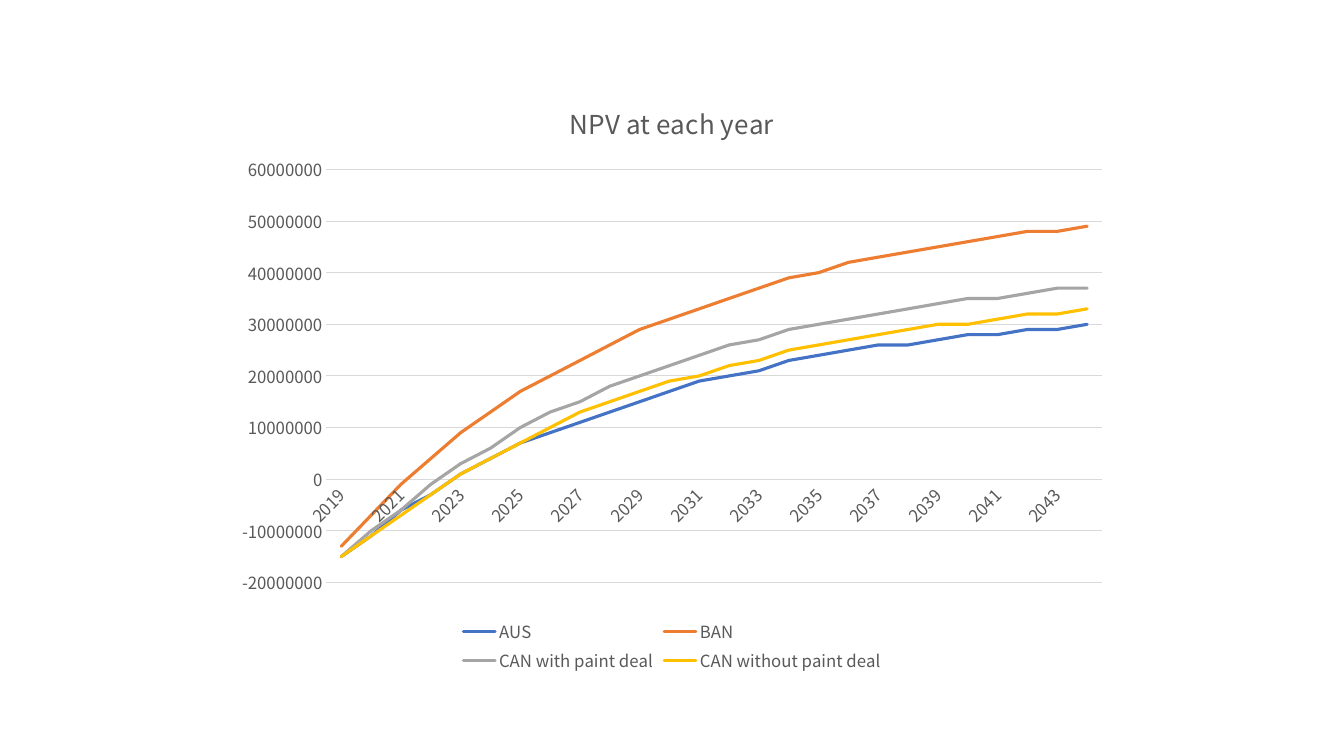
"""Build a slide with a line chart of NPV by year."""
from lxml.etree import SubElement
from pptx import Presentation
from pptx.chart.data import CategoryChartData
from pptx.dml.color import RGBColor
from pptx.enum.chart import XL_CHART_TYPE, XL_LEGEND_POSITION, XL_TICK_MARK
from pptx.oxml.ns import qn
from pptx.util import Cm, Pt

TITLE = "NPV at each year"
FONT = "Noto Sans CJK KR"
COLORS = {
    "base": "000000",
    "text": "595959",
    "grid": "D9D9D9",
    "AUS": "4472C4",
    "BAN": "ED7D31",
    "CAN with paint deal": "A5A5A5",
    "CAN without paint deal": "FFC000",
}
YEARS = [str(year) for year in range(2019, 2045)]
MILLION = 1_000_000
NPV = {
    "AUS": [
        -15, -11, -6, -3, 1, 4, 7, 9, 11, 13, 15, 17, 19,
        20, 21, 23, 24, 25, 26, 26, 27, 28, 28, 29, 29, 30],
    "BAN": [
        -13, -7, -1, 4, 9, 13, 17, 20, 23, 26, 29, 31, 33,
        35, 37, 39, 40, 42, 43, 44, 45, 46, 47, 48, 48, 49],
    "CAN with paint deal": [
        -15, -10, -6, -1, 3, 6, 10, 13, 15, 18, 20, 22, 24,
        26, 27, 29, 30, 31, 32, 33, 34, 35, 35, 36, 37, 37],
    "CAN without paint deal": [
        -15, -11, -7, -3, 1, 4, 7, 10, 13, 15, 17, 19, 20,
        22, 23, 25, 26, 27, 28, 29, 30, 30, 31, 32, 32, 33],
}


def style(font, size, color="text"):
    font.name = FONT
    font.size = Pt(size)
    font.bold = False
    font.color.rgb = RGBColor.from_string(COLORS[color])


def stroke(line, name, width):
    line.color.rgb = RGBColor.from_string(COLORS[name])
    line.width = Pt(width)


def place(area, box):
    for old in area.findall(qn("c:layout")):
        area.remove(old)
    layout = SubElement(area, qn("c:layout"))
    area.insert(0, layout)
    manual = SubElement(layout, qn("c:manualLayout"))
    tags = {"layoutTarget": "inner", "xMode": "edge", "yMode": "edge", **box}
    for tag, value in tags.items():
        SubElement(manual, qn("c:" + tag)).set("val", str(value))


deck = Presentation()
deck.slide_width, deck.slide_height = Cm(33.87), Cm(19.05)
slide = deck.slides.add_slide(deck.slide_layouts[6])

data = CategoryChartData(number_format="General")
data.categories = YEARS
for name, values in NPV.items():
    data.add_series(name, [value * MILLION for value in values])

wide, high = Cm(22.58), Cm(15.06)
left = (deck.slide_width - wide) // 2
chart = slide.shapes.add_chart(
    XL_CHART_TYPE.LINE, left, Cm(2), wide, high, data).chart
style(chart.font, 10, "base")

chart.has_title = True
head = chart.chart_title
head.include_in_layout = False
head.text_frame.text = TITLE
style(head.text_frame.paragraphs[0].runs[0].font, 18.6)

chart.has_legend = True
chart.legend.position = XL_LEGEND_POSITION.BOTTOM
chart.legend.include_in_layout = False
style(chart.legend.font, 12)

years, money = chart.category_axis, chart.value_axis
for axis in (years, money):
    axis.major_tick_mark = axis.minor_tick_mark = XL_TICK_MARK.NONE
    style(axis.tick_labels.font, 12)
    axis._element.txPr.bodyPr.set("rot", "-60000000")
years.has_major_gridlines = False
stroke(years.format.line, "grid", 0.75)
money.minimum_scale, money.maximum_scale = -20 * MILLION, 60 * MILLION
money.major_unit = 10 * MILLION
money.format.line.fill.background()
stroke(money.major_gridlines.format.line, "grid", 0.75)

plot = chart.plots[0]
plot.vary_by_categories = False
for series in plot.series:
    series.smooth = False
    stroke(series.format.line, series.name, 2.25)
    series.format.line._get_or_add_ln().set("cap", "rnd")

place(chart._chartSpace.chart.plotArea, {
    "x": Cm(2.58) / wide, "y": Cm(2.27) / high,
    "w": Cm(19.55) / wide, "h": Cm(10.41) / high})

deck.save("out.pptx")
